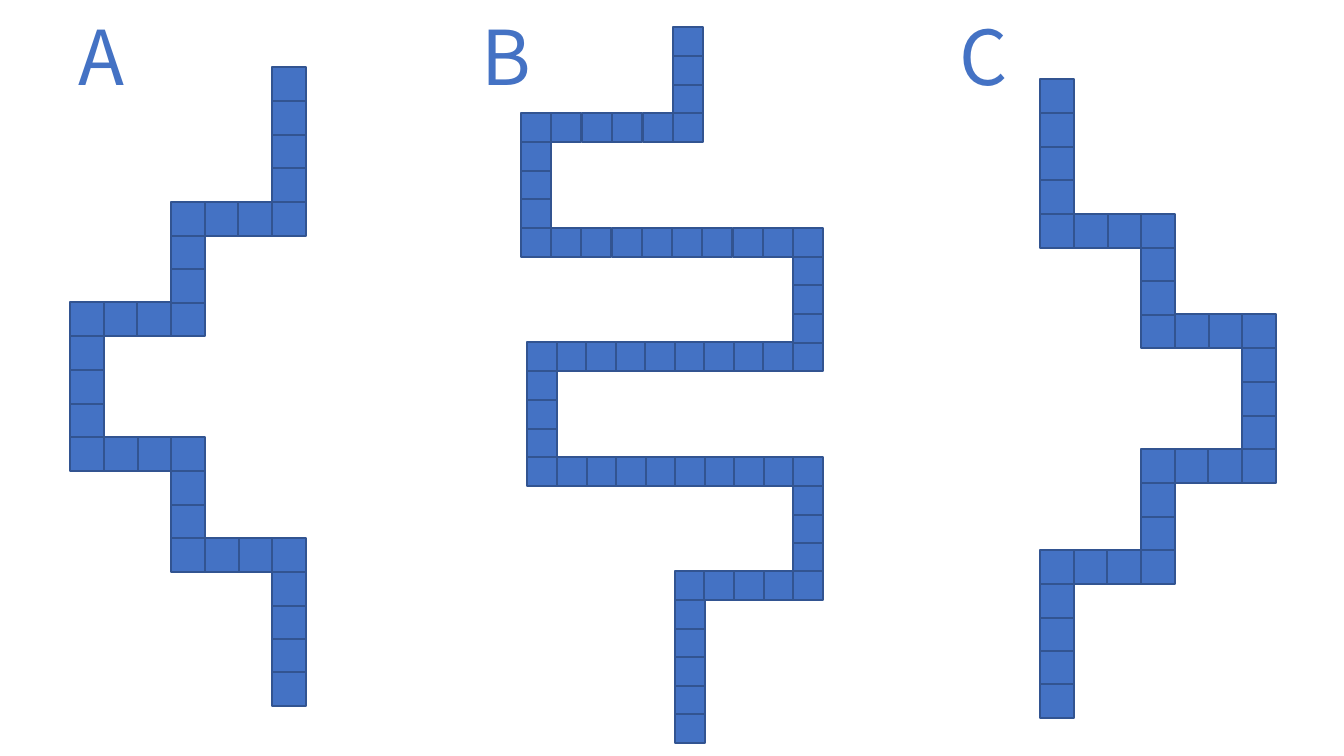
import itertools

import pptx
import pptx.dml.color
import pptx.enum.shapes
import pptx.enum.text
import pptx.util

BLUE = pptx.dml.color.RGBColor(0x44, 0x72, 0xC4)
DARK_BLUE = pptx.dml.color.RGBColor(0x32, 0x54, 0x91)
EMU_PER_PIXEL = 914400 / 100.8


def emu(pixels):
    return pptx.util.Emu(round(pixels * EMU_PER_PIXEL))


class SlideBuilder:
    label_font = {"name": "Noto Sans CJK SC", "size": pptx.util.Pt(54)}
    label_frame = {
        "word_wrap": False,
        "auto_size": pptx.enum.text.MSO_AUTO_SIZE.SHAPE_TO_FIT_TEXT,
    }

    def __init__(self, slide):
        self.slide = slide

    def label(self, text, left, top, width, height):
        shape = self.slide.shapes.add_textbox(*map(emu, (left, top, width, height)))
        for name, value in self.label_frame.items():
            setattr(shape.text_frame, name, value)
        paragraph = shape.text_frame.paragraphs[0]
        paragraph.alignment = pptx.enum.text.PP_ALIGN.CENTER
        run = paragraph.add_run()
        run.text = text
        for name, value in self.label_font.items():
            setattr(run.font, name, value)
        run.font.color.rgb = BLUE

    def tile(self, group, left, top, width, height):
        shape = group.shapes.add_shape(
            pptx.enum.shapes.MSO_SHAPE.RECTANGLE, *map(emu, (left, top, width, height))
        )
        shape.shadow.inherit = False
        shape.fill.solid()
        shape.fill.fore_color.rgb = BLUE
        shape.line.color.rgb = DARK_BLUE
        shape.line.width = pptx.util.Pt(1)

    def trail(self, corners, width, height):
        group = self.slide.shapes.add_group_shape()
        self.tile(group, *corners[0], width, height)
        for (x1, y1), (x2, y2) in itertools.pairwise(corners):
            count = round(abs(x2 - x1) / width + abs(y2 - y1) / height)
            for step in range(1, count + 1):
                left = round(x1 + (x2 - x1) * step / count)
                top = round(y1 + (y2 - y1) * step / count)
                self.tile(group, left, top, width, height)


def corners_from(columns, rows):
    corners = [(columns[0], rows[0])]
    for index, row in enumerate(rows[1:]):
        corners.append((columns[index], row))
        if index + 1 < len(columns):
            corners.append((columns[index + 1], row))
    return corners


STAIR_ROWS = [672, 538, 437, 302, 202, 67]
STAIR_DEPTHS = [0, 1, 2, 1, 0]
STAIR_RUN = 101
STAIR_TILE = 34
C_DROP = 12

WINDING_COLUMNS = [675, 793, 527, 793, 521, 673]
WINDING_ROWS = [714, 571, 457, 342, 228, 113, 27]

presentation = pptx.Presentation()
presentation.slide_width = emu(1344)
presentation.slide_height = emu(756)
builder = SlideBuilder(presentation.slides.add_slide(presentation.slide_layouts[6]))

c_corners = corners_from(
    [1040 + STAIR_RUN * depth for depth in STAIR_DEPTHS],
    [row + C_DROP for row in STAIR_ROWS],
)
a_corners = corners_from([272 - STAIR_RUN * depth for depth in STAIR_DEPTHS], STAIR_ROWS)

builder.trail(c_corners, STAIR_TILE, STAIR_TILE)
builder.trail(corners_from(WINDING_COLUMNS, WINDING_ROWS), 30, 29)
builder.trail(a_corners, STAIR_TILE, STAIR_TILE)

for letter, left, width in [("A", 67, 69), ("B", 472, 62), ("C", 949, 69)]:
    builder.label(letter, left, 5, width, 102)

presentation.save("out.pptx")
